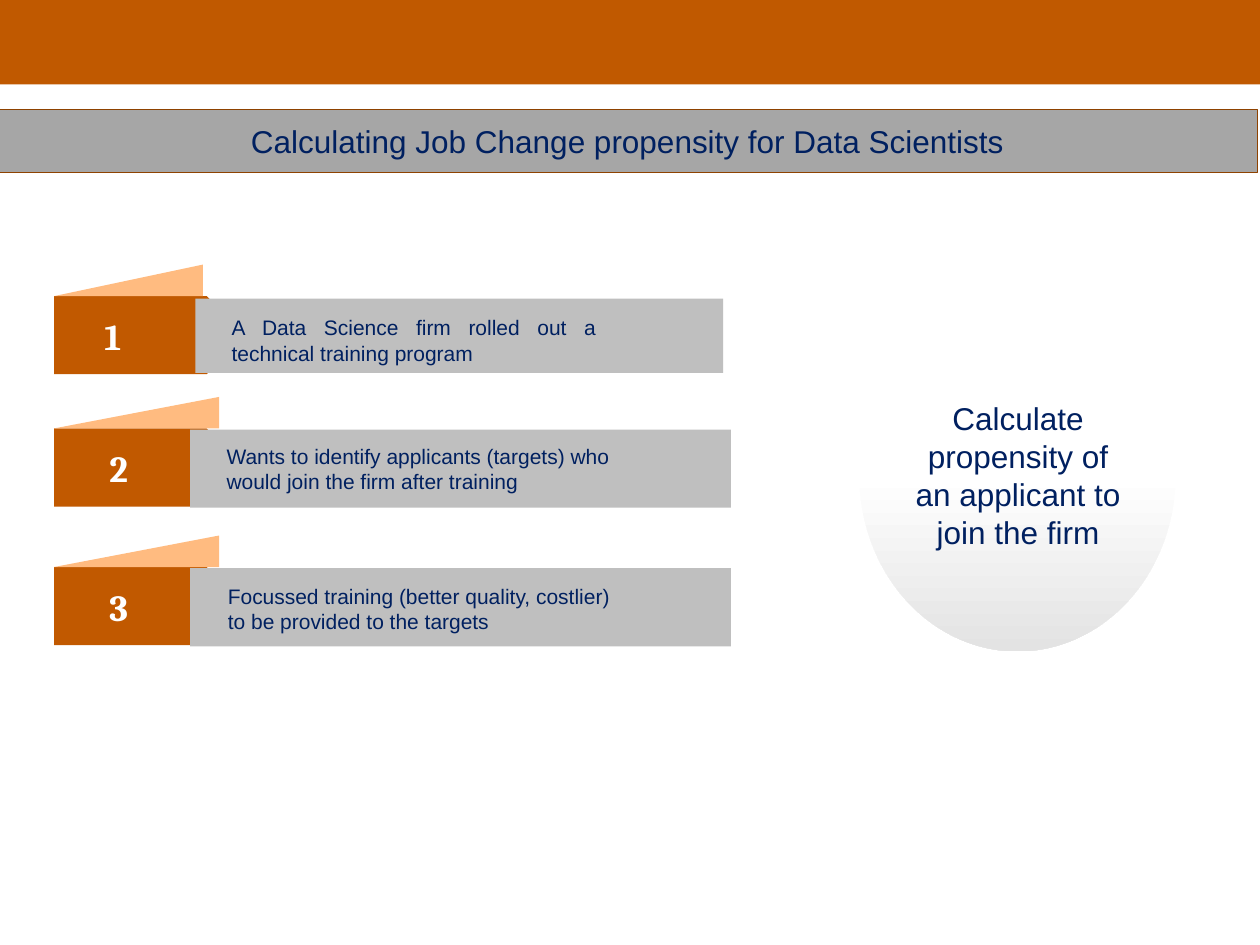
from dataclasses import dataclass

import pptx
import pptx.dml.color
import pptx.enum.shapes
import pptx.enum.text
import pptx.shapes.autoshape
import pptx.util

SHAPE = pptx.enum.shapes.MSO_SHAPE
ALIGN = pptx.enum.text.PP_ALIGN
ANCHOR = pptx.enum.text.MSO_ANCHOR

# The slide is a grid of 100 columns by 75 rows, with square cells.
COLUMNS, ROWS = 100, 75
CELL = pptx.util.Inches(0.1)

ORANGE, DARK_ORANGE, PEACH = "C15900", "8E4200", "FFBB80"
GREY, LIGHT_GREY, NAVY, WHITE = "A6A6A6", "BFBFBF", "002060", "FFFFFF"
STEP_LEFT, TAG_WIDTH, TAG_HEIGHT, FOLD_HEIGHT = 4.3, 15.2, 6.2, 2.5


@dataclass
class Box:
    """A place on the grid, in columns and rows."""
    left: float
    top: float
    width: float
    height: float

    def lengths(self) -> list[int]:
        return [round(cells * CELL) for cells in (self.left, self.top, self.width, self.height)]


@dataclass
class Step:
    number: str
    message: str
    top: float
    fold_width: float
    bar: Box
    message_box: Box
    number_box: Box
    align: ALIGN = ALIGN.LEFT


STEPS = [
    Step("1", "A Data Science firm rolled out a technical training program",
         23.5, 11.8, Box(15.5, 23.7, 41.9, 5.9), Box(17.4, 24.5, 30.9, 5),
         Box(7.3, 24.4, 4.4, 4.5), ALIGN.JUSTIFY),
    Step("2", "Wants to identify applicants (targets) who would join the firm after training",
         34, 13.1, Box(15.1, 34.1, 42.9, 6.2), Box(17, 34.7, 34, 7.1),
         Box(7.7, 34.9, 5.4, 4.5)),
    Step("3", "Focussed training (better quality, costlier) to be provided to the targets",
         45, 13.1, Box(15.1, 45.1, 42.9, 6.2), Box(17.1, 45.8, 33.1, 7.1),
         Box(7.7, 45.9, 4.7, 4.5)),
]


def rgb(color: str) -> pptx.dml.color.RGBColor:
    return pptx.dml.color.RGBColor.from_string(color)


def add_block(slide, kind: SHAPE, box: Box, color: str) -> pptx.shapes.autoshape.Shape:
    block = slide.shapes.add_shape(kind, *box.lengths())
    block.shadow.inherit = False
    block.fill.solid()
    block.fill.fore_color.rgb = rgb(color)
    block.line.fill.background()
    return block


def write(shape, words: str, size: float, color: str = NAVY, font: str = "Arial",
          bold: bool = False, align: ALIGN = ALIGN.LEFT, anchor: ANCHOR = ANCHOR.TOP,
          wrap: bool = True) -> None:
    frame = shape.text_frame
    frame.word_wrap = wrap
    frame.vertical_anchor = anchor
    paragraph = frame.paragraphs[0]
    paragraph.text = words
    paragraph.alignment = align
    paragraph.font.name = font
    paragraph.font.size = pptx.util.Pt(size)
    paragraph.font.bold = bold
    paragraph.font.color.rgb = rgb(color)


def add_step(slide, step: Step) -> None:
    add_block(slide, SHAPE.PENTAGON, Box(STEP_LEFT, step.top, TAG_WIDTH, TAG_HEIGHT), ORANGE)
    add_block(slide, SHAPE.RECTANGLE, step.bar, LIGHT_GREY)
    fold = add_block(slide, SHAPE.RIGHT_TRIANGLE,
                     Box(STEP_LEFT, step.top - FOLD_HEIGHT, step.fold_width, FOLD_HEIGHT), PEACH)
    fold.element.spPr.xfrm.set("flipH", "1")
    message = slide.shapes.add_textbox(*step.message_box.lengths())
    write(message, step.message, 12, align=step.align)
    number = slide.shapes.add_textbox(*step.number_box.lengths())
    write(number, step.number, 21, WHITE, "Cambria", bold=True, wrap=False)


def add_goal(slide) -> None:
    """Add the circle that fades to grey downwards, and the goal written on it."""
    circle = add_block(slide, SHAPE.OVAL, Box(68.2, 23.7, 25.1, 28), WHITE)
    circle.fill.gradient()
    circle.fill.gradient_angle = 270
    for stop, position, color in zip(circle.fill.gradient_stops, (0.5, 1), (WHITE, "E3E3E3")):
        stop.position = position
        stop.color.rgb = rgb(color)
    goal = slide.shapes.add_textbox(*Box(71.9, 27.8, 17.8, 19.8).lengths())
    frame = goal.text_frame
    frame.margin_left = frame.margin_right = pptx.util.Inches(0.02)
    frame.margin_top = frame.margin_bottom = pptx.util.Inches(0.02)
    write(goal, "Calculate propensity of an applicant to join the firm", 18,
          align=ALIGN.CENTER, anchor=ANCHOR.MIDDLE)


def main() -> None:
    deck = pptx.Presentation()
    deck.slide_width, deck.slide_height = COLUMNS * CELL, ROWS * CELL
    slide = deck.slides.add_slide(deck.slide_layouts[6])

    add_block(slide, SHAPE.RECTANGLE, Box(0, 0, COLUMNS, 6.7), "C05900")
    title = add_block(slide, SHAPE.RECTANGLE, Box(-0.2, 8.7, COLUMNS, 5), GREY)
    title.line.color.rgb = rgb(DARK_ORANGE)
    title.line.width = pptx.util.Pt(1)
    write(title, "Calculating Job Change propensity for Data Scientists", 18,
          align=ALIGN.CENTER, anchor=ANCHOR.MIDDLE)
    for step in STEPS:
        add_step(slide, step)
    add_goal(slide)
    deck.save("out.pptx")


if __name__ == "__main__":
    main()
